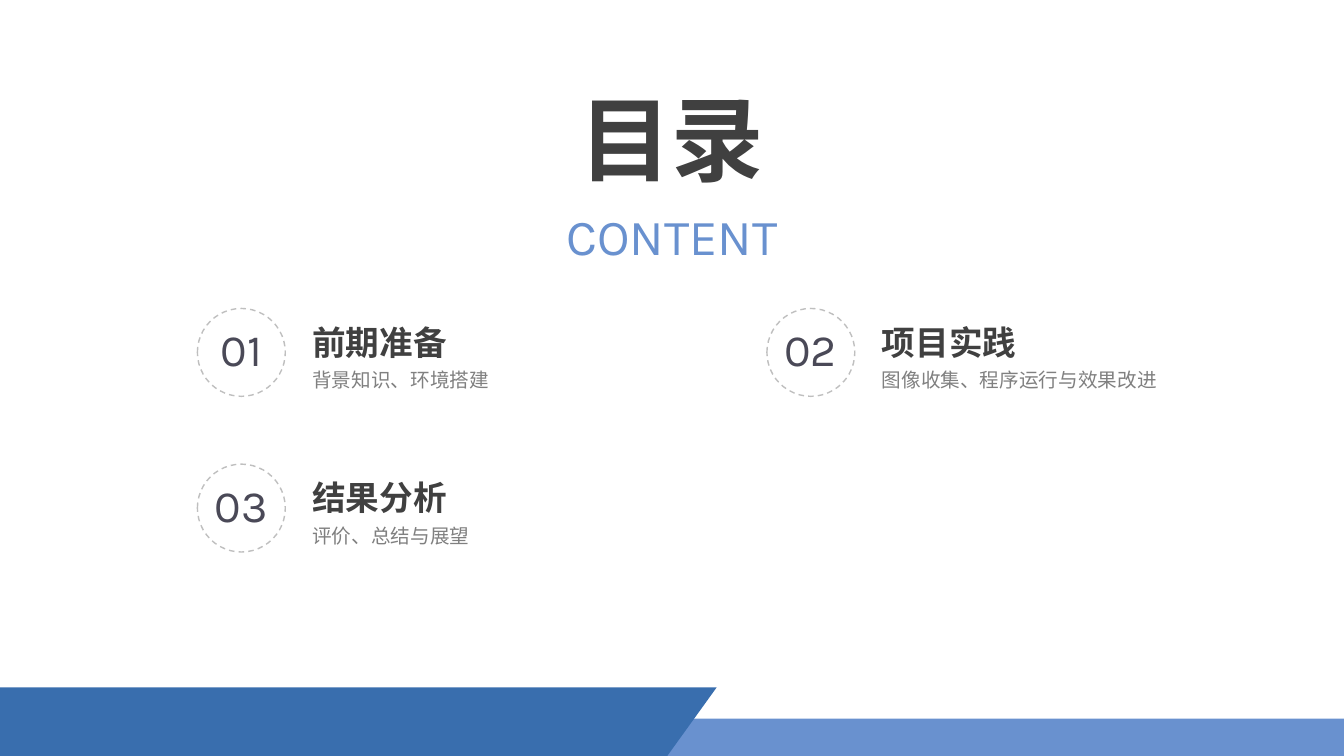
from dataclasses import dataclass

from pptx import Presentation
from pptx.dml.color import RGBColor
from pptx.enum.dml import MSO_LINE
from pptx.enum.shapes import MSO_SHAPE
from pptx.enum.text import MSO_ANCHOR, MSO_AUTO_SIZE, PP_ALIGN
from pptx.shapes.autoshape import Shape
from pptx.shapes.shapetree import GroupShapes, SlideShapes
from pptx.slide import Slide
from pptx.util import Pt

DASH = MSO_LINE.DASH
RECTANGLE, OVAL = MSO_SHAPE.RECTANGLE, MSO_SHAPE.OVAL
TOP = MSO_ANCHOR.TOP
FIT_SHAPE, NO_FIT = MSO_AUTO_SIZE.SHAPE_TO_FIT_TEXT, MSO_AUTO_SIZE.NONE
LEFT, CENTER = PP_ALIGN.LEFT, PP_ALIGN.CENTER

SLIDE_WIDTH, SLIDE_HEIGHT = 960, 540
TITLE_ONLY_LAYOUT = 5
DARK_BLUE, LIGHT_BLUE = "396EAE", "6991CF"
DARK_GRAY, MID_GRAY, PALE_GRAY, SLATE = "404040", "808080", "BFBFBF", "4A4957"

GRID_LEFT, GRID_TOP = 141, 220.3
COLUMN_STEP, ROW_STEP = 406.8, 111.2
CIRCLE_SIZE = 62.8
BAND_TOP, BAND_TIP, BAND_FOOT = 491, 511.9, 476.6


@dataclass(frozen=True)
class Box:
    left: float
    top: float
    width: float
    height: float

    def lengths(self) -> tuple[Pt, Pt, Pt, Pt]:
        return Pt(self.left), Pt(self.top), Pt(self.width), Pt(self.height)


@dataclass(frozen=True)
class TextStyle:
    size: float
    color: str
    font: str = "Karla"
    bold: bool = False
    alignment: PP_ALIGN = LEFT
    line_spacing: float = 1.0
    wrap: bool = True


@dataclass(frozen=True)
class Chapter:
    number: str
    heading: str
    caption: str
    caption_width: float
    column: int
    row: int


TITLE = TextStyle(66, DARK_GRAY, bold=True, alignment=CENTER)
SUBTITLE = TextStyle(36, LIGHT_BLUE, alignment=CENTER)
NUMBER = TextStyle(32, SLATE, alignment=CENTER)
HEADING = TextStyle(24, DARK_GRAY, font="Roboto", bold=True)
CAPTION = TextStyle(14, MID_GRAY, line_spacing=1.3, wrap=False)

CHAPTERS = [
    Chapter("01", "前期准备", "背景知识、环境搭建", 141.8, 0, 0),
    Chapter("02", "项目实践", "图像收集、程序运行与效果改进", 212.4, 1, 0),
    Chapter("03", "结果分析", "评价、总结与展望", 127.4, 0, 1),
]


def rgb(color: str) -> RGBColor:
    return RGBColor.from_string(color)


def write_text(shape: Shape, text: str, style: TextStyle) -> None:
    frame = shape.text_frame
    frame.word_wrap = style.wrap
    frame.vertical_anchor = TOP
    frame.text = text
    paragraph = frame.paragraphs[0]
    paragraph.alignment = style.alignment
    paragraph.line_spacing = style.line_spacing
    paragraph.font.name = style.font
    paragraph.font.size = Pt(style.size)
    paragraph.font.bold = style.bold
    paragraph.font.color.rgb = rgb(style.color)


def add_text(shapes: SlideShapes | GroupShapes, box: Box, text: str, style: TextStyle) -> None:
    shape = shapes.add_textbox(*box.lengths())
    write_text(shape, text, style)
    shape.text_frame.auto_size = FIT_SHAPE


def fill_plain(shape: Shape, color: str) -> None:
    shape.shadow.inherit = False
    shape.fill.solid()
    shape.fill.fore_color.rgb = rgb(color)
    shape.line.fill.background()


def add_footer(slide: Slide) -> None:
    strip = Box(0, 513.4, SLIDE_WIDTH, SLIDE_HEIGHT - 513.4)
    fill_plain(slide.shapes.add_shape(RECTANGLE, *strip.lengths()), LIGHT_BLUE)
    builder = slide.shapes.build_freeform(Pt(0), Pt(SLIDE_HEIGHT))
    corners = [(BAND_FOOT, SLIDE_HEIGHT), (BAND_TIP, BAND_TOP), (0, BAND_TOP)]
    builder.add_line_segments([(Pt(x), Pt(y)) for x, y in corners], close=True)
    fill_plain(builder.convert_to_shape(), DARK_BLUE)


def add_title(slide: Slide) -> None:
    title = slide.shapes.title
    title.left, title.top, title.width, title.height = Box(375.8, 55.4, 208.1, 87.1).lengths()
    write_text(title, "目录", TITLE)
    title.text_frame.auto_size = NO_FIT
    add_text(slide.shapes, Box(329, 142.6, 301.7, 51), "CONTENT", SUBTITLE)


def add_chapter(slide: Slide, chapter: Chapter) -> None:
    left = GRID_LEFT + chapter.column * COLUMN_STEP
    top = GRID_TOP + chapter.row * ROW_STEP
    add_text(slide.shapes, Box(left + 75, top + 5.9, 226.8, 36), chapter.heading, HEADING)
    caption_box = Box(left + 75, top + 33.8, chapter.caption_width, 27.4)
    add_text(slide.shapes, caption_box, chapter.caption, CAPTION)

    badge = slide.shapes.add_group_shape().shapes
    add_text(badge, Box(left - 6.2, top + 5.9, 75, 46), chapter.number, NUMBER)
    circle = badge.add_shape(OVAL, *Box(left, top, CIRCLE_SIZE, CIRCLE_SIZE).lengths())
    circle.shadow.inherit = False
    circle.fill.background()
    circle.line.color.rgb = rgb(PALE_GRAY)
    circle.line.width = Pt(1)
    circle.line.dash_style = DASH


def main() -> None:
    """Build the table-of-contents slide and save it."""
    presentation = Presentation()
    presentation.slide_width = Pt(SLIDE_WIDTH)
    presentation.slide_height = Pt(SLIDE_HEIGHT)
    slide = presentation.slides.add_slide(presentation.slide_layouts[TITLE_ONLY_LAYOUT])
    add_footer(slide)
    add_title(slide)
    for chapter in CHAPTERS:
        add_chapter(slide, chapter)
    presentation.save("out.pptx")


if __name__ == "__main__":
    main()
